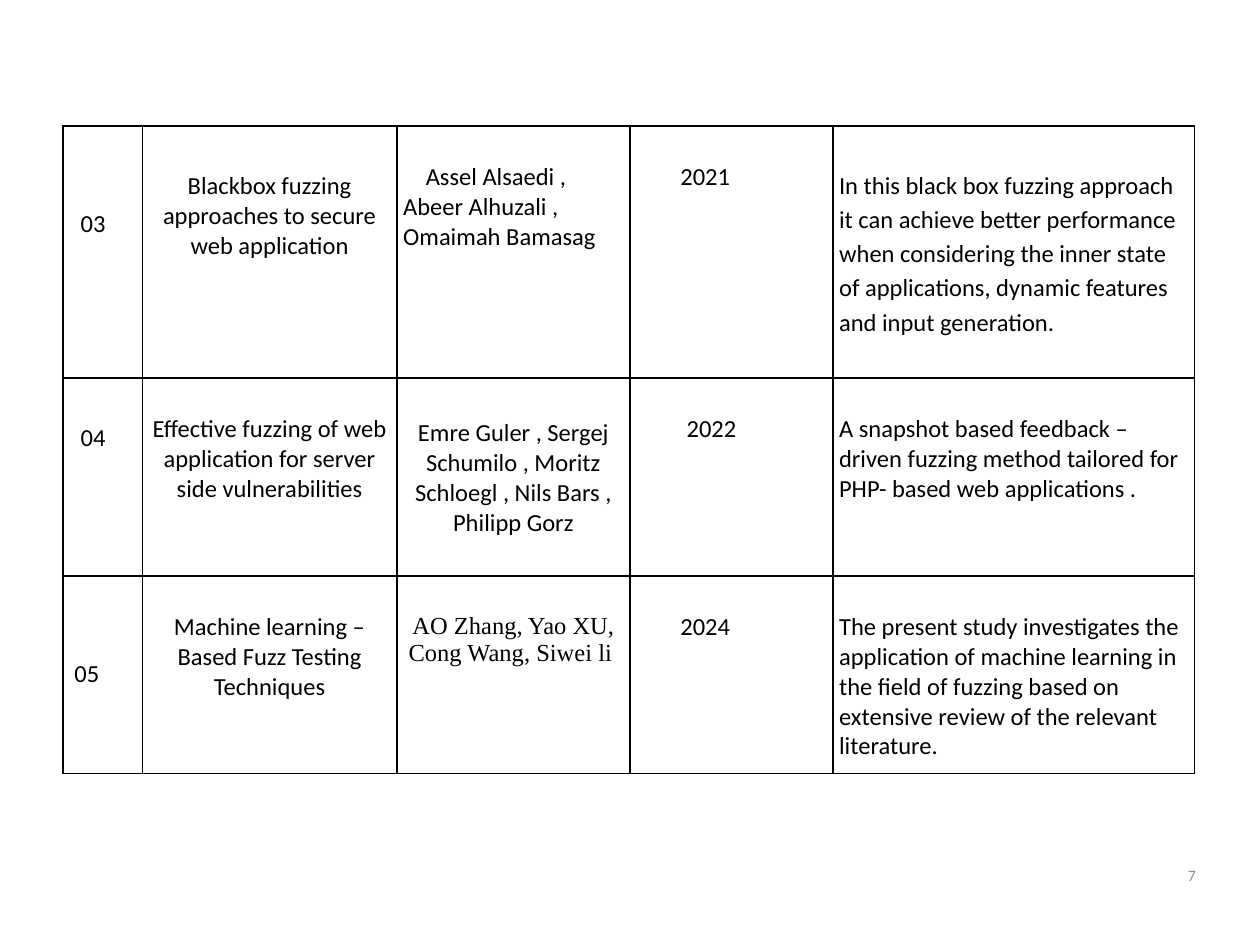
from lxml import etree
from pptx import Presentation
from pptx.dml.color import RGBColor
from pptx.enum.text import MSO_ANCHOR, PP_ALIGN
from pptx.oxml.ns import qn
from pptx.util import Inches, Pt

LEFT, MID, RIGHT = PP_ALIGN.LEFT, PP_ALIGN.CENTER, PP_ALIGN.RIGHT
TOP, CENTRE = MSO_ANCHOR.TOP, MSO_ANCHOR.MIDDLE
BLACK = RGBColor(0x00, 0x00, 0x00)
GREY = RGBColor(0x8C, 0x8C, 0x8C)
SANS, SERIF = "Calibri", "Times New Roman"

WIDTHS = (0.63, 2.02, 1.85, 1.61, 2.87)
HEIGHTS = (2, 1.57, 1.57)
ALIGNS = (LEFT, MID, MID, LEFT, LEFT)
ROWS = (
    ("03", "Blackbox fuzzing approaches to secure web application",
     "Assel Alsaedi , Abeer Alhuzali , Omaimah Bamasag", "2021",
     "In this black box fuzzing approach it can achieve better performance "
     "when considering the inner state of applications, dynamic features "
     "and input generation."),
    ("04", "Effective fuzzing of web application for server side vulnerabilities",
     "Emre Guler , Sergej Schumilo , Moritz Schloegl , Nils Bars , Philipp Gorz",
     "2022",
     "A snapshot based feedback – driven fuzzing method tailored for "
     "PHP- based web applications ."),
    ("05", "Machine learning –Based Fuzz Testing Techniques",
     "AO Zhang, Yao XU, Cong Wang, Siwei li ", "2024",
     "The present study investigates the application of machine learning in "
     "the field of fuzzing based on extensive review of the relevant literature."),
)
DROPS = (
    (0.66, 0.36, 0.29, 0.29, 0.32),
    (0.36, 0.29, 0.32, 0.29, 0.29),
    (0.66, 0.29, 0.29, 0.29, 0.29),
)
INDENTS = (
    (0.09, 0, 0.18, 0.35, 0),
    (0.09, 0, 0, 0.4, 0),
    (0.04, 0, 0, 0.35, 0),
)


class Deck:
    pad = Inches(0.05)
    size = 14
    line = Pt(1)

    def __init__(self):
        self.show = Presentation()
        self.show.slide_width = Inches(10)
        self.show.slide_height = Inches(7.5)
        self.slide = self.show.slides.add_slide(self.show.slide_layouts[6])

    def text(self, frame, text, align, size=size, color=BLACK, font=SANS):
        frame.word_wrap = True
        para = frame.paragraphs[0]
        para.text = text
        para.alignment = align
        para.font.size = Pt(size)
        para.font.name = font
        para.font.color.rgb = color
        return para

    def label(self, text, x, y, w, h, size, color):
        box = self.slide.shapes.add_textbox(Inches(x), Inches(y), Inches(w), Inches(h))
        box.text_frame.vertical_anchor = CENTRE
        self.text(box.text_frame, text, RIGHT, size, color)

    def grid(self, x, y, widths, heights):
        table = self.slide.shapes.add_table(
            len(heights), len(widths), Inches(x), Inches(y),
            Inches(sum(widths)), Inches(sum(heights))).table
        table.first_row = table.horz_banding = False
        for col, width in zip(table.columns, widths):
            col.width = Inches(width)
        for row, height in zip(table.rows, heights):
            row.height = Inches(height)
        return table

    def cell(self, cell, text, align, drop, indent, font=SANS):
        cell.margin_left = cell.margin_right = cell.margin_bottom = self.pad
        cell.margin_top = Inches(drop)
        cell.vertical_anchor = TOP
        self.frame(cell)
        cell.fill.background()
        para = self.text(cell.text_frame, text, align, font=font)
        if indent:
            para._p.get_or_add_pPr().set("indent", str(Inches(indent)))
        return para

    def frame(self, cell):
        props = cell._tc.get_or_add_tcPr()
        for side in ("a:lnL", "a:lnR", "a:lnT", "a:lnB"):
            edge = etree.SubElement(props, qn(side), w=str(self.line))
            fill = etree.SubElement(edge, qn("a:solidFill"))
            etree.SubElement(fill, qn("a:srgbClr"), val=str(BLACK))


def main():
    deck = Deck()
    table = deck.grid(0.5, 1, WIDTHS, HEIGHTS)
    for r, (texts, drops, indents) in enumerate(zip(ROWS, DROPS, INDENTS)):
        for c, (text, align, drop, indent) in enumerate(
                zip(texts, ALIGNS, drops, indents)):
            font = SERIF if (r, c) == (2, 2) else SANS
            para = deck.cell(table.cell(r, c), text, LEFT if indent else align,
                             drop, indent, font)
            if (r, c) == (0, 4):
                para.line_spacing = 1.15
    deck.label("7", 9.33, 6.75, 0.26, 0.39, 9, GREY)
    deck.show.save("out.pptx")


if __name__ == "__main__":
    main()
